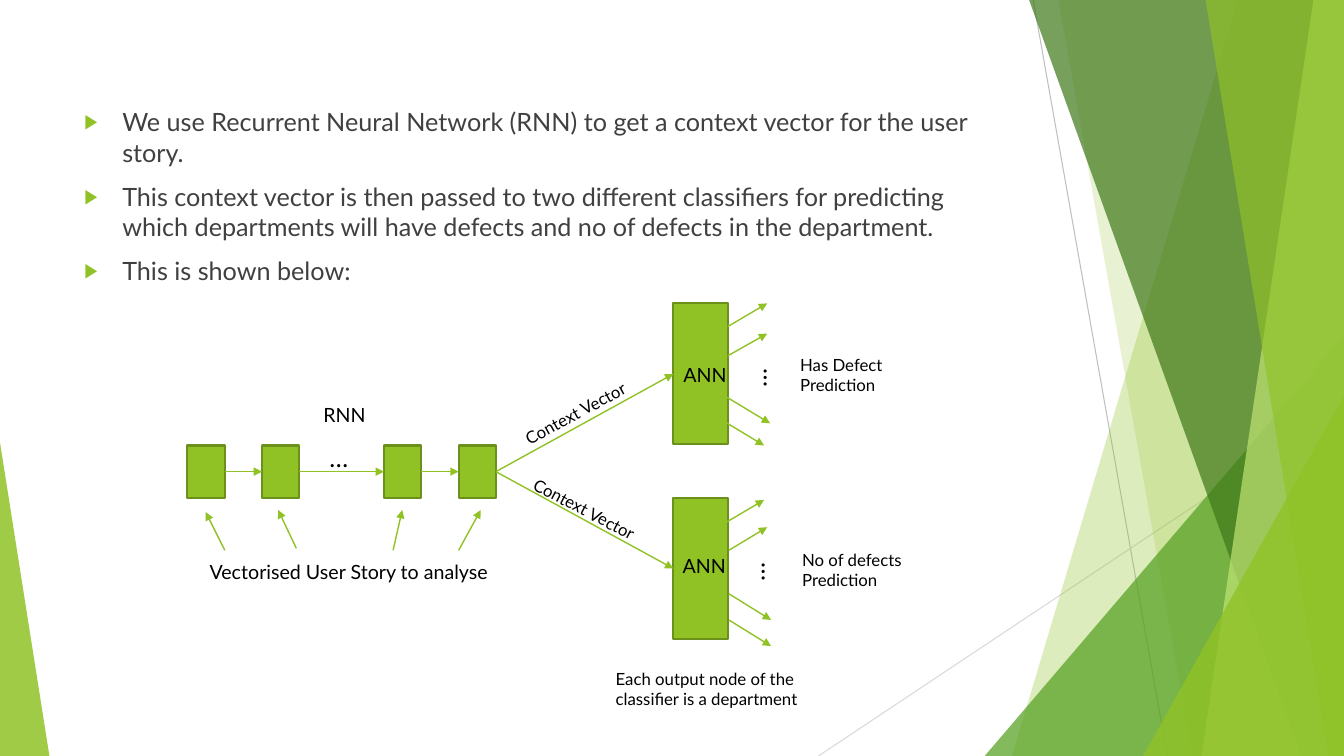
"""Build the slide on predicting defects with an RNN and two classifiers."""
import pptx
import pptx.dml.color
import pptx.enum.shapes
import pptx.oxml
import pptx.oxml.ns
import pptx.util

THEME = {
    "font": "Lato", "black": "000000", "body": "404040",
    "lime": "90C226", "edge": "6B901C", "leaf": "54A021", "pine": "3F7819",
    "pale": "C0E474", "mist": "BFBFBF", "fog": "D9D9D9",
    "big": 18, "mid": 14, "small": 12,
    "arrow": 1, "hair": 0.75, "rim": 1.5,
}
WIDE, HIGH = 960, 540

POINTS = [
    "We use Recurrent Neural Network (RNN) to get a context vector for the user story. ",
    "This context vector is then passed to two different classifiers for predicting "
    "which departments will have defects and no of defects in the department. ",
    "This is shown below: ",
]
BODY = (53.3, 72.7, 676.8, 402.5)

RAYS = [((738, 0, 833.8, HIGH), "mist"), ((WIDE, 290.2, 584.6, HIGH), "fog")]
DECOR = [
    ("band", (884.2, 722.9), "lime", 30),
    ("band", (756, 851.8), "lime", 20),
    ("peak", (703.4, 239.8, 256.6, 1), "leaf", 72),
    ("band", (735.1, 929.5), "pine", 70),
    ("band", (938.2, 858.2), "pale", 70),
    ("band", (861.1, 949), "lime", 65),
    ("peak", (816.5, 283, 143.5, 1), "lime", 80),
    ("peak", (0, 316.1, 35.3, 0), "lime", 85),
]

CELLS = [133.9, 187.2, 274.3, 327.6]
CELL_TOP, CELL_W, CELL_H = 318.2, 26.6, 37.4
NET_X, NET_W, NET_H = 481, 38.9, 100.8
NETS = [216.7, 355.7]
OUTS = [
    [(519.8, 233.3, 548, 216.7), (519.8, 254.2, 548, 238.3),
     (519.1, 283.7, 550.1, 302.4), (514.8, 299.5, 545.8, 318.2)],
    [(517.7, 373.7, 545.8, 357.1), (520.6, 393.1, 548, 376.6),
     (520.6, 424.1, 550.8, 442.8), (520.6, 442.8, 550.8, 461.5)],
]
INPUTS = [(160.6, 393.1, 146.9, 365.8), (211.7, 391.7, 198.7, 364.3),
          (280.8, 393.1, 287.3, 364.3), (327.6, 393.1, 343.4, 364.3)]

LABELS = [
    ("Context Vector", (362.2, 276.5, 127.4, 21.8), "small", -28.4),
    ("Context Vector", (368.6, 360.7, 127.4, 21.8), "small", 27.5),
    ("Vectorised User Story to analyse ", (142.6, 396.7, 222.5, 24.2), "mid", 0),
    ("…", (228.2, 312.5, 28.1, 29.1), "big", 0),
    ("…", (532.1, 262.1, 41, 29.1), "big", 90),
    ("…", (530.6, 401, 41, 29.1), "big", 90),
    ("Has Defect Prediction", (564.5, 249.8, 120.2, 36.4), "small", 0),
    ("No of defects Prediction", (565.9, 388.8, 120.2, 36.4), "small", 0),
    ("Each output node of the classifier is a department ",
     (432.7, 473.8, 175, 36.4), "small", 0),
    ("RNN", (223.9, 284.4, 56.9, 24.2), "mid", 0),
    ("ANN", (481, 255.6, 56.9, 24.2), "mid", 0),
    ("ANN", (480.5, 392.4, 56.9, 24.2), "mid", 0),
]

Pt = pptx.util.Pt
KIND = pptx.enum.shapes.MSO_SHAPE


def tint(name):
    return pptx.dml.color.RGBColor.from_string(THEME[name])


def pts(nums):
    return [Pt(n) for n in nums]


def style(item, values):
    for key, val in values.items():
        setattr(item, key, val)


def node(home, tag, **attrs):
    part = pptx.oxml.parse_xml(f"<a:{tag} {pptx.oxml.ns.nsdecls('a')}/>")
    for key, val in attrs.items():
        part.set(key, str(val))
    home.append(part)
    return part


def paint(shape, hue, clear=None, edge=None):
    shape.shadow.inherit = False
    shape.fill.solid()
    shape.fill.fore_color.rgb = tint(hue)
    if clear:
        color = shape.fill._xPr.find(".//" + pptx.oxml.ns.qn("a:srgbClr"))
        node(color, "alpha", val=clear * 1000)
    if edge:
        shape.line.color.rgb = tint(edge)
        shape.line.width = Pt(THEME["rim"])
    else:
        shape.line.fill.background()


def wire(ends, hue="lime", width="arrow", head=True):
    line = shapes.add_connector(pptx.enum.shapes.MSO_CONNECTOR.STRAIGHT, *pts(ends))
    line.line.color.rgb = tint(hue)
    line.line.width = Pt(THEME[width])
    if head:
        node(line.line._get_or_add_ln(), "tailEnd", type="triangle")
    node(line._element.spPr, "effectLst")


def block(left, top, width, height):
    paint(shapes.add_shape(KIND.RECTANGLE, *pts((left, top, width, height))),
          "lime", edge="edge")


def band(top_x, foot_x):
    edge = [(top_x, 0), (WIDE, 0), (WIDE, HIGH), (foot_x, HIGH)]
    pen = shapes.build_freeform(*pts(edge[0]))
    pen.add_line_segments([pts(spot) for spot in edge[1:]])
    return pen.convert_to_shape()


def peak(left, top, width, tip):
    shape = shapes.add_shape(KIND.ISOSCELES_TRIANGLE, *pts((left, top, width, HIGH - top)))
    shape.adjustments[0] = tip
    return shape


def write(texts, place, size, hue="black", turn=0):
    box = shapes.add_textbox(*pts(place))
    box.rotation = turn
    frame = box.text_frame
    frame.word_wrap = True
    frame.text = "\n".join(texts)
    for para in frame.paragraphs:
        font = para.runs[0].font
        style(font, {"name": THEME["font"], "size": Pt(THEME[size])})
        font.color.rgb = tint(hue)
    return frame.paragraphs


def bullet(para):
    para.space_before = Pt(10)
    props = para._p.get_or_add_pPr()
    for key, val in {"marL": Pt(27), "indent": -Pt(27)}.items():
        props.set(key, str(val))
    node(node(props, "buClr"), "srgbClr", val=THEME["lime"])
    node(props, "buSzPct", val=80000)
    node(props, "buFont", typeface="Arial")
    node(props, "buChar", char="▶")


deck = pptx.Presentation()
style(deck, {"slide_width": Pt(WIDE), "slide_height": Pt(HIGH)})
shapes = deck.slides.add_slide(deck.slide_layouts[6]).shapes

for ends, hue in RAYS:
    wire(ends, hue, "hair", head=False)
for kind, nums, hue, clear in DECOR:
    paint({"band": band, "peak": peak}[kind](*nums), hue, clear)

for para in write(POINTS, BODY, "big", "body"):
    bullet(para)

for left in CELLS:
    block(left, CELL_TOP, CELL_W, CELL_H)
mid = CELL_TOP + CELL_H / 2
for left, right in zip(CELLS, CELLS[1:]):
    wire((left + CELL_W, mid, right, mid))
for top, outs in zip(NETS, OUTS):
    block(NET_X, top, NET_W, NET_H)
    wire((CELLS[-1] + CELL_W, mid, NET_X, top + NET_H / 2))
    for ends in outs:
        wire(ends)
for ends in INPUTS:
    wire(ends)
for text, place, size, turn in LABELS:
    write([text], place, size, turn=turn)

deck.save("out.pptx")
